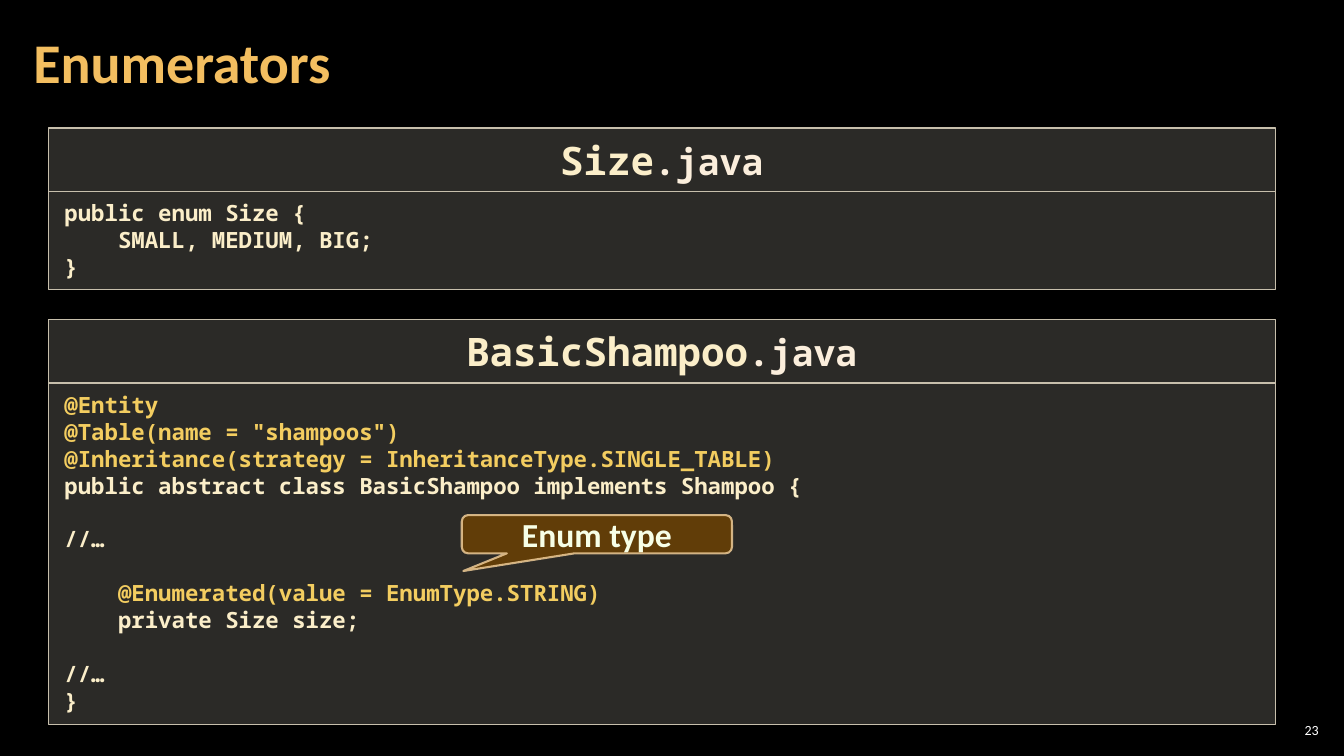
from lxml import etree
from pptx import Presentation
from pptx.dml.color import RGBColor
from pptx.enum.shapes import MSO_SHAPE
from pptx.enum.text import MSO_ANCHOR, MSO_AUTO_SIZE, PP_ALIGN
from pptx.oxml.ns import qn
from pptx.util import Inches, Pt

RECTANGLE = MSO_SHAPE.RECTANGLE
CALLOUT = MSO_SHAPE.ROUNDED_RECTANGULAR_CALLOUT
TOP, MIDDLE = MSO_ANCHOR.TOP, MSO_ANCHOR.MIDDLE
LEFT, CENTER, RIGHT = PP_ALIGN.LEFT, PP_ALIGN.CENTER, PP_ALIGN.RIGHT
NO_AUTOFIT = MSO_AUTO_SIZE.NONE

SANS, MONO = "Calibri", "Noto Sans Mono"
CREAM, GOLD = "FBEEC9", "F3CD60"
PANEL_LEFT, PANEL_WIDTH, HEADER_HEIGHT = 0.48, 12.17, 0.63
CODE_SIZE = 16

SIZE_CODE = """public enum Size {
    SMALL, MEDIUM, BIG;
}"""

SHAMPOO_CODE = """@Entity
@Table(name = "shampoos")
@Inheritance(strategy = InheritanceType.SINGLE_TABLE)
public abstract class BasicShampoo implements Shampoo {

//…

    @Enumerated(value = EnumType.STRING)
    private Size size;

//…
}"""


def color(hex_code):
    return RGBColor.from_string(hex_code)


def format_span(span, font, size, hex_code, bold=True):
    span.font.name = font
    span.font.size = Pt(size)
    span.font.bold = bold
    span.font.color.rgb = color(hex_code)


def set_frame(box, anchor, side, edge):
    frame = box.text_frame
    frame.auto_size = NO_AUTOFIT
    frame.word_wrap = True
    frame.vertical_anchor = anchor
    frame.margin_left = frame.margin_right = Inches(side)
    frame.margin_top = frame.margin_bottom = Inches(edge)
    return frame


def set_opacity(color_format_fill, percent):
    """Make a solid a:solidFill element partly transparent."""
    alpha = etree.SubElement(color_format_fill[0], qn("a:alpha"))
    alpha.set("val", str(percent * 1000))


def add_box(page, kind, place, fill, opacity, line, line_width):
    box = page.shapes.add_shape(kind, *map(Inches, place))
    box.shadow.inherit = False
    box.fill.solid()
    box.fill.fore_color.rgb = color(fill)
    box.line.color.rgb = color(line)
    box.line.width = Pt(line_width)
    set_opacity(box._element.spPr.find(qn("a:solidFill")), opacity)
    return box


def add_panel_box(page, top, height):
    place = (PANEL_LEFT, top, PANEL_WIDTH, height)
    box = add_box(page, RECTANGLE, place, "D9D5C7", 20, "C7BFAC", 1)
    return set_frame(box, TOP, 0.16, 0.08)


def size_blank_line(para):
    end = etree.SubElement(para._p, qn("a:endParaRPr"))
    end.set("sz", str(CODE_SIZE * 100))
    end.set("b", "1")
    etree.SubElement(end, qn("a:latin")).set("typeface", MONO)


def add_code_panel(page, top, class_name, code, code_height):
    # Code body
    frame = add_panel_box(page, top + HEADER_HEIGHT, code_height)
    for number, line in enumerate(code.split("\n")):
        para = frame.add_paragraph() if number else frame.paragraphs[0]
        para.alignment = LEFT
        para.text = line
        if not line:
            size_blank_line(para)
        is_annotation = line.lstrip().startswith("@")
        for span in para.runs:
            format_span(span, MONO, CODE_SIZE, GOLD if is_annotation else CREAM)

    # File name header
    para = add_panel_box(page, top, HEADER_HEIGHT).paragraphs[0]
    para.alignment = CENTER
    for text, size, hex_code in ((class_name, 28, CREAM), (".java", 26, "FBEEDC")):
        span = para.add_run()
        span.text = text
        format_span(span, MONO, size, hex_code)


def add_callout(page, text):
    box = add_box(page, CALLOUT, (4.58, 5.11, 2.68, 0.38), "643F07", 95, "F8D49E", 1.5)
    set_opacity(box.line._ln.find(qn("a:solidFill")), 80)
    for index, value in enumerate((-0.494, 0.961, 0.167)):
        box.adjustments[index] = value
    para = set_frame(box, MIDDLE, 0.1, 0.05).paragraphs[0]
    para.text = text
    para.alignment = CENTER
    format_span(para.runs[0], SANS, 24, "F7FFE7")


def set_title(page, text):
    title = page.shapes.title
    title.left, title.top = Inches(0.21), Inches(0.04)
    title.width, title.height = Inches(10.47), Inches(1.21)
    para = set_frame(title, MIDDLE, 0.12, 0.04).paragraphs[0]
    para.text = text
    para.alignment = LEFT
    para.line_spacing = 0.9
    format_span(para.runs[0], SANS, 40, "F3BE60")


def add_page_number(page, text):
    box = page.shapes.add_textbox(Inches(12.65), Inches(7.14), Inches(0.47), Inches(0.21))
    para = set_frame(box, MIDDLE, 0.04, 0.04).paragraphs[0]
    para.text = text
    para.alignment = RIGHT
    format_span(para.runs[0], SANS, 10, "FFFFFF", bold=False)


def main():
    deck = Presentation()
    deck.slide_width, deck.slide_height = Inches(13.33), Inches(7.5)
    page = deck.slides.add_slide(deck.slide_layouts.get_by_name("Title Only"))
    page.background.fill.solid()
    page.background.fill.fore_color.rgb = color("000000")

    set_title(page, "Enumerators")
    add_code_panel(page, 1.27, "Size", SIZE_CODE, 0.97)
    add_code_panel(page, 3.17, "BasicShampoo", SHAMPOO_CODE, 3.39)
    add_callout(page, "Enum type")
    add_page_number(page, "23")
    deck.save("out.pptx")


if __name__ == "__main__":
    main()
